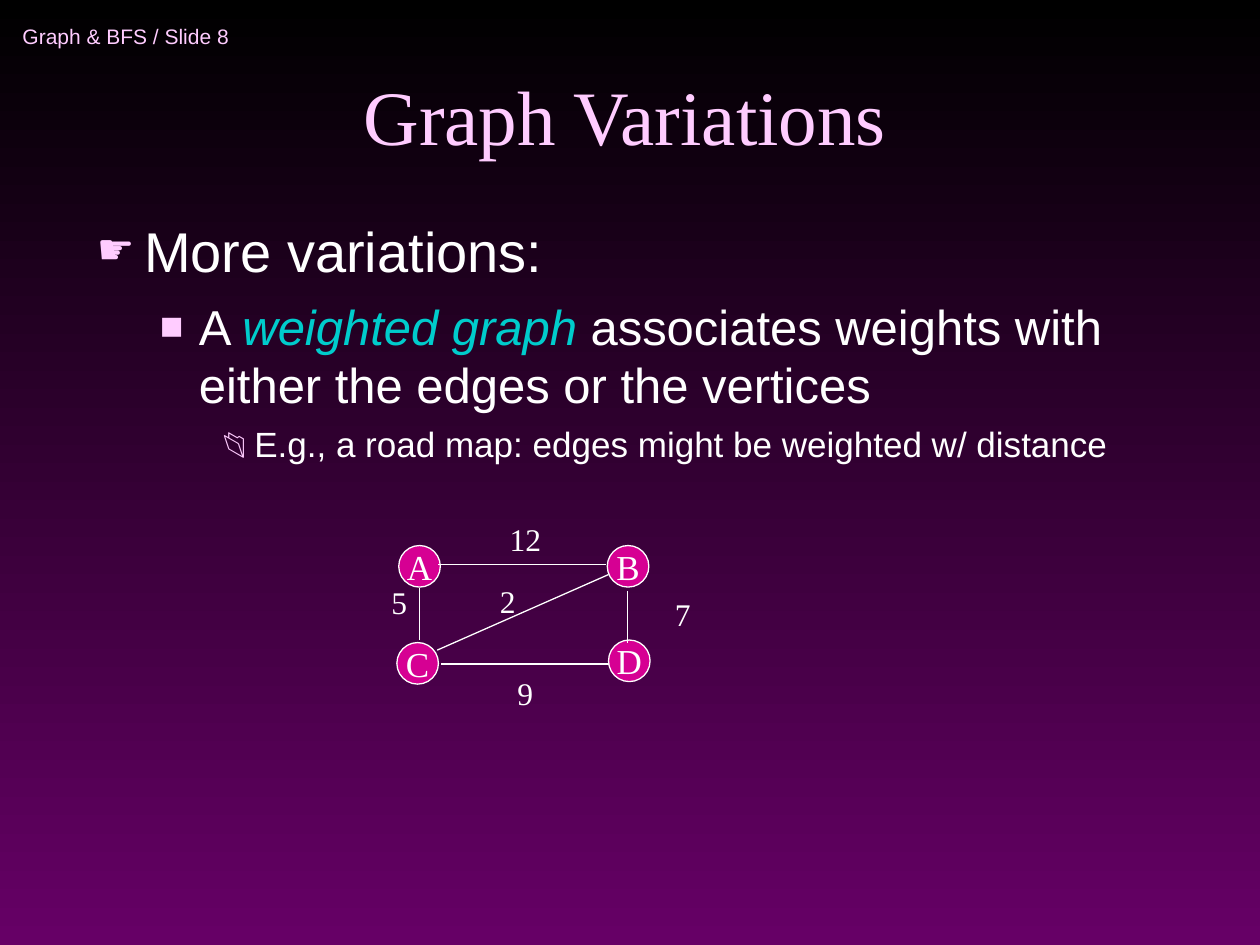
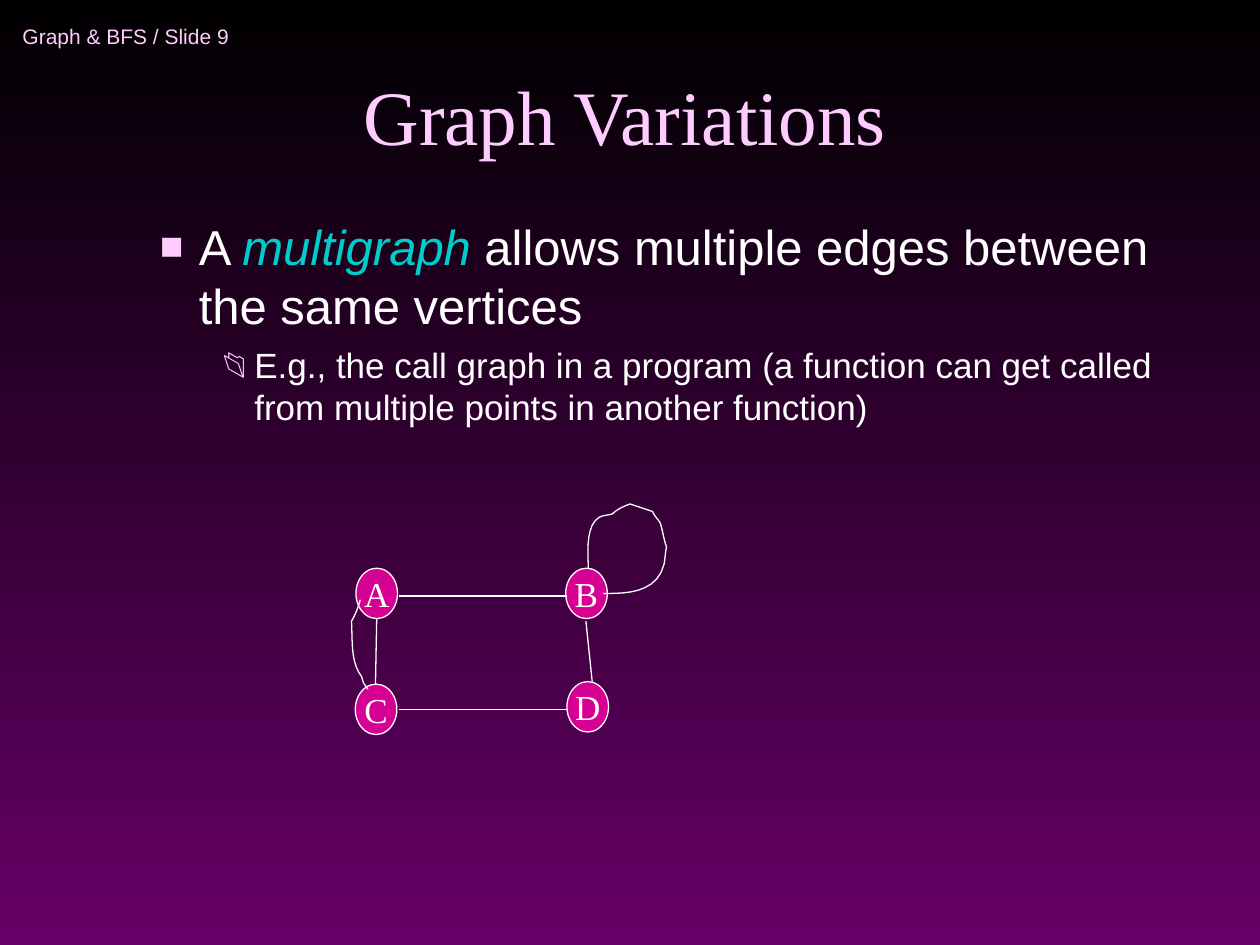
from dataclasses import dataclass

from lxml.etree import SubElement
from pptx import Presentation
from pptx.dml.color import RGBColor
from pptx.enum.shapes import MSO_CONNECTOR as Link, MSO_SHAPE as Preset
from pptx.enum.text import MSO_ANCHOR as Anchor, MSO_AUTO_SIZE as AutoSize, PP_ALIGN as Align
from pptx.oxml.ns import qn
from pptx.util import Inches, Pt

CELL = Inches(10) / 100
CURVE_STEPS = 10


@dataclass(frozen=True)
class Theme:
    """Colours, fonts and type sizes shared by the slides."""
    top: str = "000000"
    bottom: str = "660066"
    accent: str = "FFCCFF"
    text: str = "FFFFFF"
    term: str = "00CCCC"
    node: str = "D60093"
    sans: str = "Arial"
    serif: str = "Times New Roman"
    title_size: float = 44
    header_size: float = 12
    node_size: float = 20
    weight_size: float = 18
    line: float = 0.75


@dataclass(frozen=True)
class Level:
    """Look of one outline level; indents are in grid cells."""
    size: float
    margin: float
    hang: float
    before: float
    bullet: str
    bullet_share: int


@dataclass(frozen=True)
class Box:
    """A region of the slide, measured in hundredths of its width."""
    left: float
    top: float
    width: float
    height: float

    def point(self, x, y):
        """Return a point of the region in slide units."""
        return cells(self.left + x), cells(self.top + y)

    def inner(self, x, y, width, height):
        """Return a smaller region placed relative to this one."""
        return Box(self.left + x, self.top + y, width, height)

    @property
    def frame(self):
        """Return left, top, width and height in slide units."""
        return tuple(map(cells, (self.left, self.top, self.width, self.height)))


THEME = Theme()
LEVELS = (
    Level(32, 3.75, 3.75, 8, "☛", 75),
    Level(28, 8.1, 3.1, 7, "■", 80),
    Level(20, 12.5, 2.5, 5, "📂", 80),
)
HEADER = Box(0.8, 0.8, 27.5, 4.2)
TITLE = Box(6.7, 2.5, 85.8, 10.8)


def cells(count):
    """Convert grid cells to slide units."""
    return round(count * CELL)


def colour(code):
    """Convert a hex code to a colour."""
    return RGBColor.from_string(code)


def style(para, size, face, code=THEME.text):
    """Format every run of a paragraph."""
    for span in para.runs:
        span.font.size = Pt(size)
        span.font.name = face
        span.font.color.rgb = colour(code)


def outline(shape):
    """Give a shape or connector the thin white line."""
    shape.line.color.rgb = colour(THEME.text)
    shape.line.width = Pt(THEME.line)


def paint_background(deck):
    """Set the vertical gradient on the master."""
    fill = deck.slide_master.background.fill
    fill.gradient()
    fill.gradient_angle = 270
    for stop, place, code in zip(fill.gradient_stops, (0, 1), (THEME.top, THEME.bottom)):
        stop.position = place
        stop.color.rgb = colour(code)


def add_header(page, box, number):
    """Write the running header with the slide number."""
    frame = page.shapes.add_textbox(*box.frame).text_frame
    frame.word_wrap = False
    frame.vertical_anchor = Anchor.MIDDLE
    frame.text = f"Graph & BFS / Slide {number}"
    style(frame.paragraphs[0], THEME.header_size, THEME.sans, THEME.accent)


def add_title(page, box, text):
    """Move and format the title placeholder."""
    title = page.shapes.title
    title.left, title.top, title.width, title.height = box.frame
    frame = title.text_frame
    frame.text = text
    frame.auto_size = AutoSize.NONE
    frame.vertical_anchor = Anchor.BOTTOM
    frame.paragraphs[0].alignment = Align.CENTER
    style(frame.paragraphs[0], THEME.title_size, THEME.serif, THEME.accent)


def set_bullet(para, level):
    """Indent a paragraph and give it the bullet of its level."""
    para.space_before = Pt(level.before)
    props = para._p.get_or_add_pPr()
    props.set("marL", str(cells(level.margin)))
    props.set("indent", str(-cells(level.hang)))
    tint = SubElement(props, qn("a:buClr"))
    SubElement(tint, qn("a:srgbClr"), val=THEME.accent)
    SubElement(props, qn("a:buSzPct"), val=str(level.bullet_share * 1000))
    SubElement(props, qn("a:buFont"), typeface=THEME.sans)
    SubElement(props, qn("a:buChar"), char=level.bullet)


def add_outline(page, box, items):
    """Write bulleted paragraphs; the second part of each is a defined term."""
    frame = page.shapes.add_textbox(*box.frame).text_frame
    frame.word_wrap = True
    for index, (depth, *parts) in enumerate(items):
        para = frame.add_paragraph() if index else frame.paragraphs[0]
        para.level = depth
        set_bullet(para, LEVELS[depth])
        for part in parts:
            para.add_run().text = part
        style(para, LEVELS[depth].size, THEME.sans)
        for term in para.runs[1:2]:
            term.font.italic = True
            term.font.color.rgb = colour(THEME.term)


def add_node(group, box, name):
    """Draw one labelled vertex."""
    node = group.shapes.add_shape(Preset.OVAL, *box.frame)
    node.shadow.inherit = False
    node.fill.solid()
    node.fill.fore_color.rgb = colour(THEME.node)
    outline(node)
    frame = node.text_frame
    frame.word_wrap = False
    frame.vertical_anchor = Anchor.MIDDLE
    frame.text = name
    frame.paragraphs[0].alignment = Align.CENTER
    style(frame.paragraphs[0], THEME.node_size, THEME.serif)


def add_edge(group, start, end):
    """Draw one straight edge."""
    edge = group.shapes.add_connector(Link.STRAIGHT, *start, *end)
    outline(edge)
    SubElement(edge._element.spPr, qn("a:effectLst"))


def add_weight(group, box, value):
    """Write the weight of an edge."""
    frame = group.shapes.add_textbox(*box.frame).text_frame
    frame.word_wrap = True
    frame.text = value
    para = frame.paragraphs[0]
    para.alignment = Align.CENTER
    para.space_before = Pt(11.2)
    style(para, THEME.weight_size, THEME.serif)


def bezier(start, first, second, end):
    """Return points along a cubic curve, without its start."""
    points = []
    for step in range(1, CURVE_STEPS + 1):
        t = step / CURVE_STEPS
        shares = ((1 - t) ** 3, 3 * t * (1 - t) ** 2, 3 * t * t * (1 - t), t ** 3)
        points.append(tuple(sum(share * value for share, value in zip(shares, axis))
                            for axis in zip(start, first, second, end)))
    return points


def add_curve(group, box, knots):
    """Draw a curved edge through a chain of cubic curves."""
    points = []
    for index in range(0, len(knots) - 1, 3):
        points += bezier(*knots[index:index + 4])
    builder = group.shapes.build_freeform(*box.point(*knots[0]))
    builder.add_line_segments([box.point(*point) for point in points], close=False)
    curve = builder.convert_to_shape()
    curve.shadow.inherit = False
    curve.fill.background()
    outline(curve)


def add_graph(page, box, node_size, nodes, edges, weights=(), curves=()):
    """Draw a graph inside its box."""
    group = page.shapes.add_group_shape()
    for name, x, y in nodes:
        add_node(group, box.inner(x, y, *node_size), name)
    for start, end in edges:
        add_edge(group, box.point(*start), box.point(*end))
    for value, x, y in weights:
        add_weight(group, box.inner(x, y, 5, 4), value)
    for knots in curves:
        add_curve(group, box, knots)


def add_page(deck, number, outline_height, items):
    """Add a slide with header, title and outline."""
    page = deck.slides.add_slide(deck.slide_layouts.get_by_name("Title Only"))
    add_header(page, HEADER, number)
    add_title(page, TITLE, "Graph Variations")
    add_outline(page, Box(6.7, 16.7, 85.8, outline_height), items)
    return page


def weighted_graph_page(deck):
    """Build the slide about weighted graphs."""
    page = add_page(deck, 8, 26.7, (
        (0, "More variations:"),
        (1, "A ", "weighted graph", " associates weights with either the edges or the vertices"),
        (2, "E.g., a road map: edges might be weighted w/ distance"),
    ))
    add_graph(
        page, Box(29, 40, 28, 18), (3.3, 3.3),
        nodes=(("A", 2.65, 3.3), ("B", 19.2, 3.3), ("C", 2.5, 11), ("D", 19.3, 10.8)),
        edges=(((5.8, 4.8), (19.1, 4.8)), ((4.3, 6.7), (4.3, 10.8)),
               ((19.3, 5.6), (5.7, 11.6)), ((20.8, 6.9), (20.8, 11)),
               ((6, 12.7), (19.3, 12.7))),
        weights=(("12", 10.2, 0.8), ("5", 0.2, 5.8), ("2", 8.8, 5.7),
                 ("7", 22.7, 6.7), ("9", 10.2, 13)),
    )


def multigraph_page(deck):
    """Build the slide about multigraphs."""
    page = add_page(deck, 9, 54.2, (
        (1, "A ", "multigraph", " allows multiple edges between the same vertices"),
        (2, "E.g., the call graph in a program (a function can get called from "
            "multiple points in another function)"),
    ))
    loop = ((19.7, 5.1), (19.7, 4.4), (19.4, 1.8), (20.5, 1.1), (20.8, 0.9), (21.2, 0.9),
            (21.6, 0.8), (22, 0.4), (22.5, 0.2), (23, 0), (23.6, 0.2), (24.2, 0.4),
            (24.8, 0.6), (24.9, 0.9), (25.2, 1.2), (25.4, 1.5), (25.6, 2.1), (25.7, 2.9),
            (25.9, 3.4), (25.8, 3.9), (25.8, 4.3), (25.7, 4.8), (25.1, 7.2), (22.4, 7.1),
            (20.9, 7.1))
    second_edge = ((1.6, 7.6), (1.4, 8.3), (1.2, 8.8), (0.9, 9.3), (1, 10.9), (0.8, 12.5),
                   (1.7, 13.7), (1.9, 14.4), (1.8, 14.1), (2.2, 14.7))
    add_graph(
        page, Box(27, 40, 28, 19), (3.3, 4),
        nodes=(("A", 1.25, 5.1), ("B", 17.9, 5.1), ("C", 1.2, 14.3), ("D", 18, 14.1)),
        edges=(((4.7, 7.3), (18, 7.3)), ((2.9, 9.1), (2.8, 14.3)),
               ((19.5, 9.3), (20, 14.1)), ((4.7, 16.3), (18, 16.3))),
        curves=(loop, second_edge),
    )


def main():
    """Build and save the deck."""
    deck = Presentation()
    deck.slide_width, deck.slide_height = Inches(10), Inches(7.5)
    paint_background(deck)
    weighted_graph_page(deck)
    multigraph_page(deck)
    deck.save("out.pptx")


if __name__ == "__main__":
    main()
